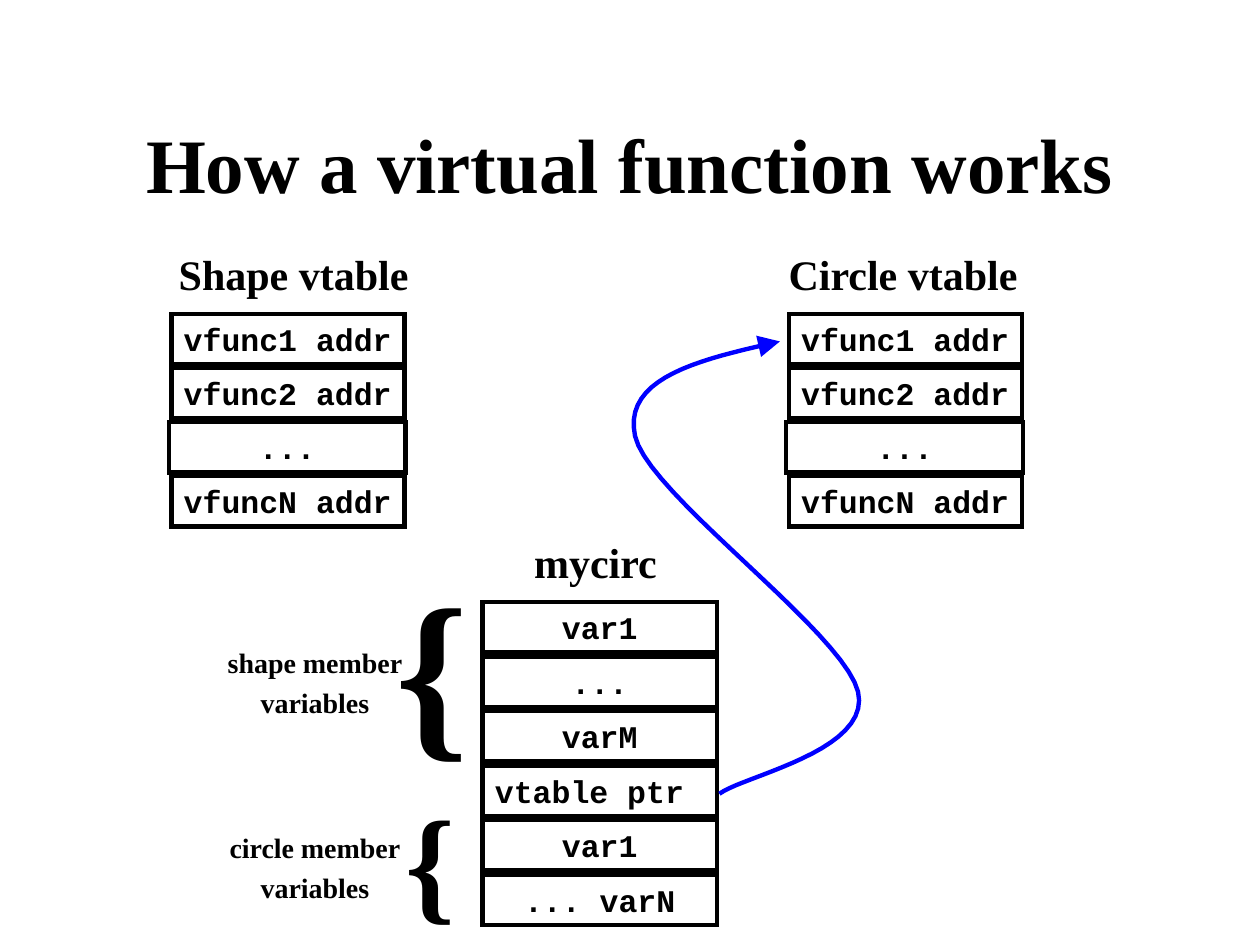
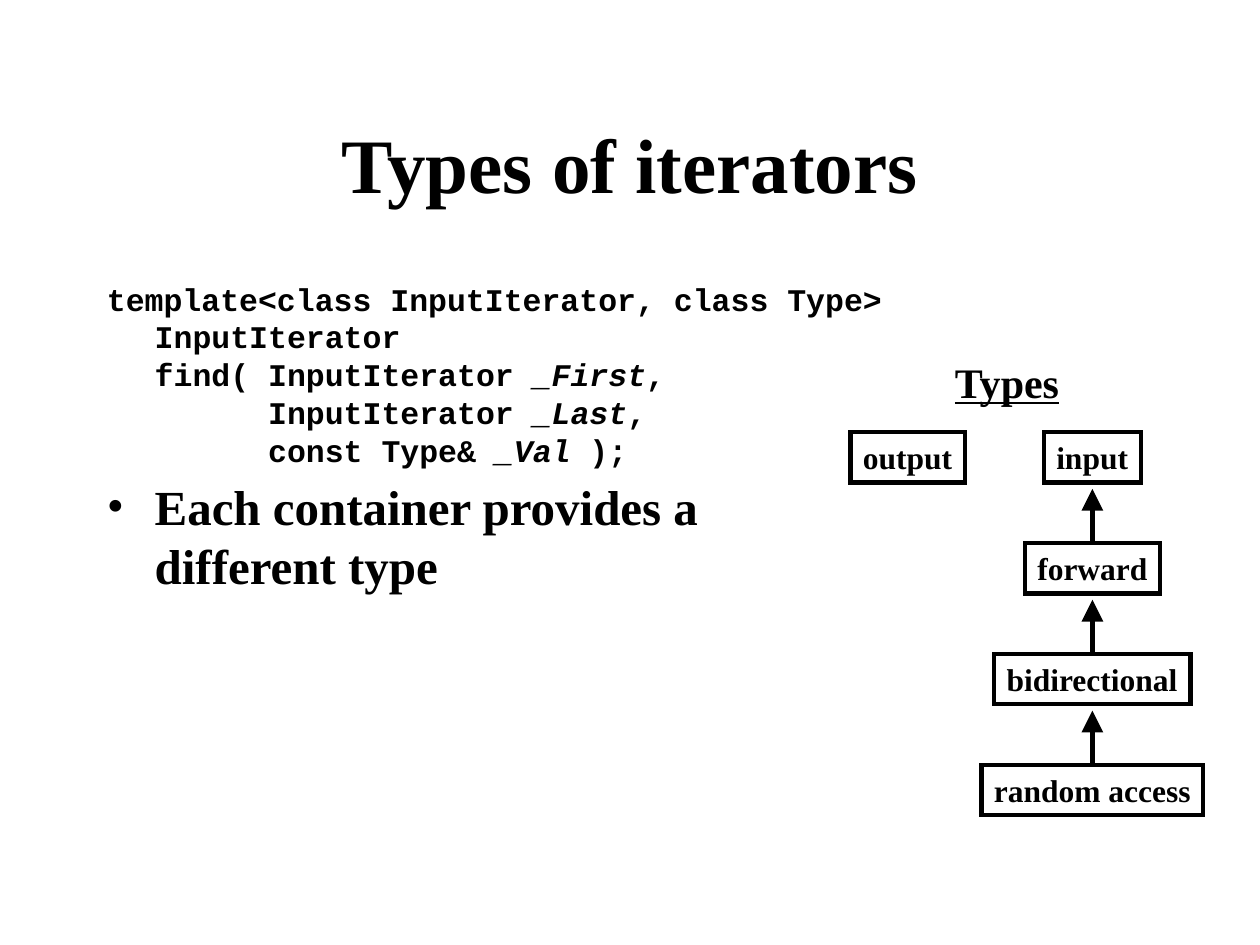
"""Build two slides on virtual function tables and on iterator types."""
from lxml import etree
from pptx import Presentation
from pptx.dml.color import RGBColor
from pptx.enum.shapes import MSO_CONNECTOR, MSO_SHAPE
from pptx.enum.text import MSO_ANCHOR, MSO_AUTO_SIZE, PP_ALIGN
from pptx.oxml.ns import qn
from pptx.util import Inches, Pt

COLORS = {"ink": "000000", "pointer": "0000FF", "paper": "FFFFFF"}
SERIF, MONO = "Times New Roman", "Courier New"
LEFT, CENTER = PP_ALIGN.LEFT, PP_ALIGN.CENTER
LINE_WIDTH = 2.5
BOX_HEIGHT = 0.4
SIDE_MARGIN = 0.02

VTABLE_ROWS = ["vfunc1 addr", "vfunc2 addr", "...", "vfuncN addr"]
VTABLES = [("Shape vtable", 1.32, 1.36), ("Circle vtable", 6.16, 6.26)]
VTABLE_TOP, VTABLE_PITCH = 2.49, 0.43
OBJECT_ROWS = ["var1", "...", "varM", "vtable ptr", "var1", "... varN"]
OBJECT_TOP, OBJECT_PITCH = 4.78, 0.432
MEMBER_LABELS = [
    ("shape member\nvariables", (1.71, 5.07, 1.58, 0.69)),
    ("circle member\nvariables", (1.72, 6.54, 1.56, 0.69)),
]
BRACES = [((3.04, 4.33, 0.78, 1.87), 106, 26.5), ((3.12, 6.16, 0.59, 1.3), 72, 18)]
POINTER_START = (5.71, 6.3)
POINTER_CURVES = [
    ((5.89, 6.16), (6.92, 5.96), (6.81, 5.49)),
    ((6.69, 5.01), (5.14, 3.92), (5.04, 3.46)),
    ((4.94, 2.99), (5.57, 2.85), (6.19, 2.71)),
]

FIND_CODE = [
    ("template<class InputIterator, class Type>", 0),
    ("InputIterator", 0.38),
    ("find( InputIterator *_First*,", 0.38),
    ("InputIterator *_Last*,", 1.28),
    ("const Type& *_Val* );", 1.28),
]
CONTAINER_NOTE = "Each container provides a\vdifferent type"
ITERATOR_CHAIN = [("input", 0.77), ("forward", 1.07), ("bidirectional", 1.56), ("random access", 1.76)]
CHAIN_CENTER, CHAIN_TOP, CHAIN_PITCH = 8.67, 3.43, 0.88


def color(name):
    return RGBColor.from_string(COLORS[name])


def write(frame, text, size=18, font=SERIF, align=LEFT, before=0, spacing=None,
          indent=0, hanging=0, bullet=None, underline=None):
    """Append paragraphs split at newlines; asterisks enclose italics."""
    for line in text.split("\n"):
        paragraph = frame.paragraphs[-1]
        if paragraph.runs:
            paragraph = frame.add_paragraph()
        paragraph.alignment = align
        paragraph.space_before = Pt(before)
        if spacing:
            paragraph.line_spacing = Pt(spacing)
        properties = paragraph._p.get_or_add_pPr()
        properties.set("marL", str(Inches(indent)))
        properties.set("indent", str(Inches(-hanging)))
        if bullet:
            etree.SubElement(properties, qn("a:buFont")).set("typeface", font)
            etree.SubElement(properties, qn("a:buChar")).set("char", bullet)
        else:
            etree.SubElement(properties, qn("a:buNone"))
        for row, segment in enumerate(line.split("\v")):
            if row:
                paragraph.add_line_break()
            for index, words in enumerate(segment.split("*")):
                run = paragraph.add_run()
                run.text = words
                run.font.name, run.font.size = font, Pt(size)
                run.font.bold, run.font.italic = True, index % 2 == 1
                run.font.underline = underline
                run.font.color.rgb = color("ink")


def fit_text(frame, text, align=LEFT, **style):
    frame.word_wrap = True
    frame.auto_size = MSO_AUTO_SIZE.SHAPE_TO_FIT_TEXT
    frame.vertical_anchor = MSO_ANCHOR.TOP
    frame.margin_right = Inches(SIDE_MARGIN)
    if align == CENTER:
        frame.margin_left = Inches(SIDE_MARGIN)
    write(frame, text, align=align, **style)


def add_label(slide, place, text, **style):
    label = slide.shapes.add_textbox(*map(Inches, place))
    fit_text(label.text_frame, text, **style)


def add_box(slide, left, top, width, text, **style):
    box = slide.shapes.add_shape(
        MSO_SHAPE.RECTANGLE, *map(Inches, (left, top, width, BOX_HEIGHT)))
    box.shadow.inherit = False
    box.fill.background()
    set_line(box, "ink")
    fit_text(box.text_frame, text, **style)


def set_line(shape, name, arrow=False):
    shape.line.color.rgb = color(name)
    shape.line.width = Pt(LINE_WIDTH)
    outline = shape.line._get_or_add_ln()
    etree.SubElement(outline, qn("a:miter")).set("lim", "800000")
    if arrow:
        etree.SubElement(outline, qn("a:tailEnd"), type="triangle", w="lg", len="lg")


def add_arrow(slide, x, start, end):
    arrow = slide.shapes.add_connector(
        MSO_CONNECTOR.STRAIGHT, *map(Inches, (x, start, x, end)))
    set_line(arrow, "ink", arrow=True)
    etree.SubElement(arrow._element.spPr, qn("a:effectLst"))


def curve_points(start, curves, steps=20):
    points = []
    for first, second, end in curves:
        for step in range(1, steps + 1):
            t = step / steps
            weights = ((1 - t) ** 3, 3 * t * (1 - t) ** 2, 3 * t ** 2 * (1 - t), t ** 3)
            controls = (start, first, second, end)
            points.append(tuple(
                Inches(sum(w * c[axis] for w, c in zip(weights, controls))) for axis in (0, 1)))
        start = end
    return points


def add_pointer(slide):
    builder = slide.shapes.build_freeform(*map(Inches, POINTER_START))
    builder.add_line_segments(curve_points(POINTER_START, POINTER_CURVES), close=False)
    pointer = builder.convert_to_shape()
    pointer.shadow.inherit = False
    pointer.fill.background()
    set_line(pointer, "pointer", arrow=True)


def add_titled_slide(deck, text):
    slide = deck.slides.add_slide(deck.slide_layouts[5])
    slide.background.fill.solid()
    slide.background.fill.fore_color.rgb = color("paper")
    title = slide.shapes.title
    title.left, title.top, title.width, title.height = map(Inches, (0.75, 0.67, 8.5, 1.25))
    title.text_frame.vertical_anchor = MSO_ANCHOR.MIDDLE
    write(title.text_frame, text, size=44, align=CENTER)
    return slide


def build_virtual_functions(deck):
    slide = add_titled_slide(deck, "How a virtual function works")
    for name, name_left, left in VTABLES:
        add_label(slide, (name_left, 1.92, 2.02, 0.5), name, size=24)
        for row, entry in enumerate(VTABLE_ROWS):
            top = VTABLE_TOP + row * VTABLE_PITCH
            if entry == "...":
                add_box(slide, left - 0.02, top, 1.88, entry, font=MONO, align=CENTER)
            else:
                add_box(slide, left, top, 1.85, entry, font=MONO)

    add_label(slide, (4.14, 4.21, 1.18, 0.5), "mycirc", size=24)
    for row, member in enumerate(OBJECT_ROWS):
        add_box(slide, 3.83, OBJECT_TOP + row * OBJECT_PITCH, 1.86, member,
                font=MONO, align=LEFT if member == "vtable ptr" else CENTER)
    add_pointer(slide)
    for text, place in MEMBER_LABELS:
        add_label(slide, place, text, size=16, align=CENTER, before=4)
    for place, size, before in BRACES:
        add_label(slide, place, "{", size=size, before=before)


def build_iterators(deck):
    slide = add_titled_slide(deck, "Types of iterators")
    body = slide.shapes.add_textbox(*map(Inches, (0.75, 2.17, 8.5, 4.5))).text_frame
    body.word_wrap = True
    for row, (code, indent) in enumerate(FIND_CODE):
        write(body, code, font=MONO, indent=indent, before=0 if row else 4.5, spacing=21.6)
    write(body, CONTAINER_NOTE, size=28, indent=0.38, hanging=0.38, bullet="•",
          before=5, spacing=33.4)

    for level, (kind, width) in enumerate(ITERATOR_CHAIN):
        top = CHAIN_TOP + level * CHAIN_PITCH
        add_box(slide, CHAIN_CENTER - width / 2, top, width, kind, before=4.5)
        if level:
            add_arrow(slide, CHAIN_CENTER, top, top - CHAIN_PITCH + BOX_HEIGHT + 0.05)
    add_box(slide, 6.75, CHAIN_TOP, 0.91, "output", before=4.5)
    add_label(slide, (7.48, 2.78, 1.05, 0.5), "Types", size=24, before=6, underline=True)


def main():
    deck = Presentation()
    deck.slide_width, deck.slide_height = Inches(10), Inches(7.5)
    build_virtual_functions(deck)
    build_iterators(deck)
    deck.save("out.pptx")


if __name__ == "__main__":
    main()
